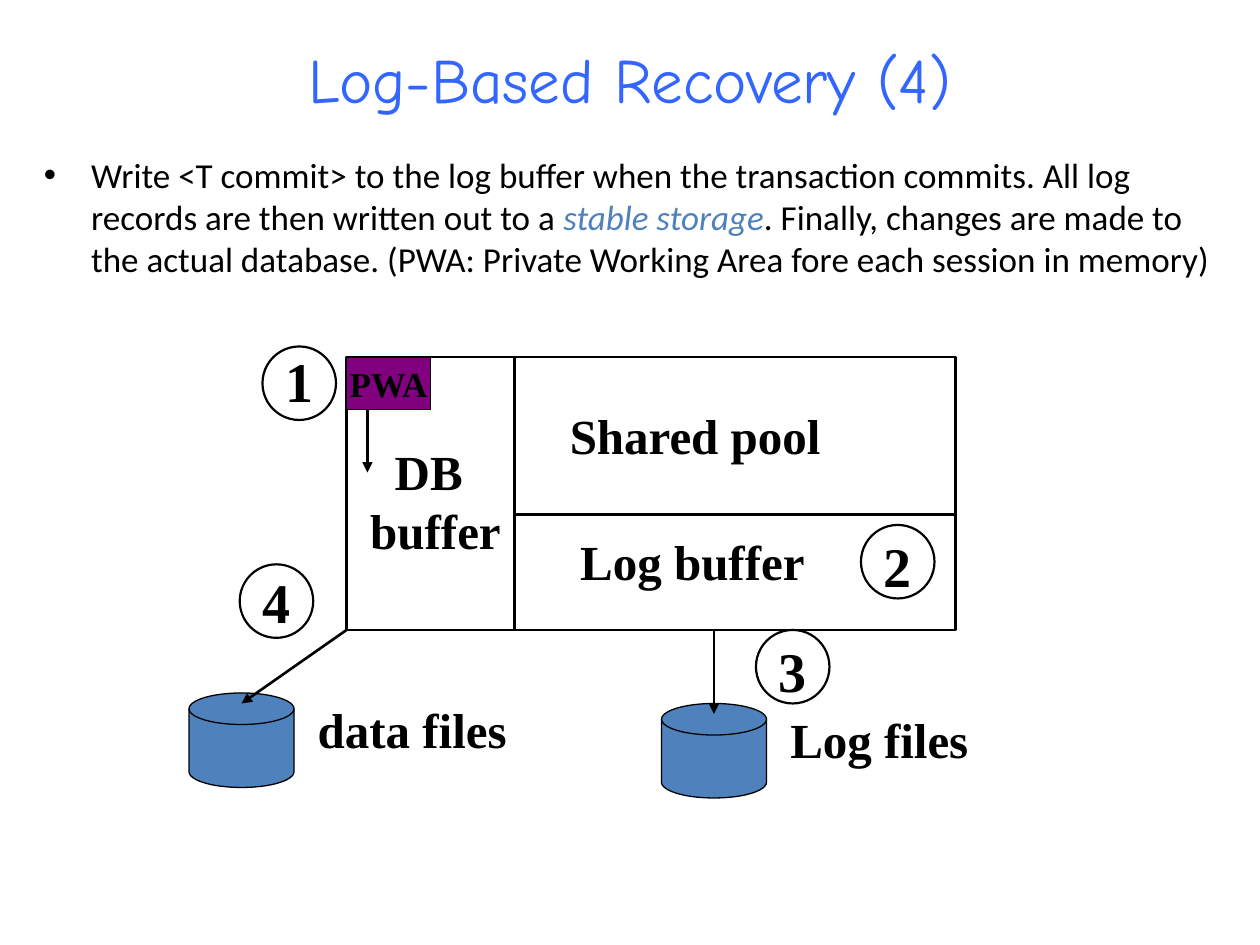
from lxml.etree import SubElement as Sub
from pptx import Presentation
from pptx.dml.color import RGBColor
from pptx.enum.shapes import MSO_CONNECTOR as Conn, MSO_SHAPE as Kind
from pptx.enum.text import MSO_ANCHOR as Anchor, MSO_AUTO_SIZE as Auto, PP_ALIGN as Align
from pptx.oxml.ns import qn
from pptx.util import Pt

BLACK, BLUE, PURPLE = "000000", "4F81BD", "800080"
TITLE = {"name": "Comic Neue", "size": Pt(36)}
BODY = {"name": "Calibri", "size": Pt(20)}
LABEL = {"name": "Times New Roman", "size": Pt(28), "bold": True}
DIGIT = {**LABEL, "size": Pt(32)}
SMALL = {**LABEL, "size": Pt(20)}


def paint(color, value):
    color.rgb = RGBColor.from_string(value)


def add_run(para, text, style, color=BLACK):
    run = para.add_run()
    run.text = text
    for key, value in style.items():
        setattr(run.font, key, value)
    paint(run.font.color, color)


def add_box(slide, x, y, w, h, wrap=True):
    frame = slide.shapes.add_textbox(Pt(x), Pt(y), Pt(w), Pt(h)).text_frame
    frame.word_wrap = wrap
    frame.auto_size = Auto.NONE if wrap else Auto.SHAPE_TO_FIT_TEXT
    return frame


def add_label(slide, x, y, w, h, lines, style=LABEL, indent=0):
    """Place unwrapped lines, the first one indented."""
    frame = add_box(slide, x, y, w, h, False)
    for i, line in enumerate(lines):
        para = frame.add_paragraph() if i else frame.paragraphs[0]
        if indent and not i:
            para._p.get_or_add_pPr().set("marL", str(Pt(indent)))
        add_run(para, line, style)


def add_form(slide, kind, x, y, w, h, fill=None, width=0.75):
    form = slide.shapes.add_shape(kind, Pt(x), Pt(y), Pt(w), Pt(h))
    form.shadow.inherit = False
    if fill:
        form.fill.solid()
        paint(form.fill.fore_color, fill)
    else:
        form.fill.background()
    form.line.width = Pt(width)
    paint(form.line.color, BLACK)
    return form


def add_line(slide, x1, y1, x2, y2, arrow=False):
    line = slide.shapes.add_connector(Conn.STRAIGHT, Pt(x1), Pt(y1), Pt(x2), Pt(y2))
    line.line.width = Pt(1.5)
    paint(line.line.color, BLACK)
    if arrow:
        Sub(line.line._get_or_add_ln(), qn("a:tailEnd"), type="triangle")
    Sub(line._element.spPr, qn("a:effectLst"))


def add_title(slide, x, y, w, h):
    frame = add_box(slide, x, y, w, h)
    frame.vertical_anchor = Anchor.MIDDLE
    para = frame.paragraphs[0]
    para.alignment = Align.CENTER
    add_run(para, "Log-Based Recovery (4)", TITLE, "3366FF")


def add_body(slide, x, y, w, h):
    para = add_box(slide, x, y, w, h).paragraphs[0]
    para.space_before = Pt(5)
    props = para._p.get_or_add_pPr()
    props.set("marL", str(Pt(27)))
    props.set("indent", str(Pt(-27)))
    Sub(props, qn("a:buFont"), typeface="Arial")
    Sub(props, qn("a:buChar"), char="•")
    add_run(para, "Write <T commit> to the log buffer when the transaction commits. "
            "All log records are then written out to a ", BODY)
    add_run(para, "stable storage", {**BODY, "italic": True}, BLUE)
    add_run(para, ". Finally, changes are made to the actual database. "
            "(PWA: Private Working Area fore each session in memory)", BODY)


def add_memory(slide, x, y, w, h):
    add_form(slide, Kind.RECTANGLE, x, y, w, h, width=1.25)
    col, row = x + 96, y + 90
    add_line(slide, col, y, col, y + h)
    add_line(slide, col, row, x + w, row)
    add_label(slide, col + 24.5, y + 24, 159, 41, ["Shared pool"])
    add_label(slide, col + 30.5, row + 6, 144, 41, ["Log buffer"])
    add_label(slide, x + 6.5, y + 45, 92, 75, ["DB", "buffer"], indent=14)

    area = add_form(slide, Kind.RECTANGLE, x, y, 48, 30, PURPLE)
    frame = area.text_frame
    frame.word_wrap = False
    frame.vertical_anchor = Anchor.MIDDLE
    para = frame.paragraphs[0]
    para.alignment = Align.CENTER
    add_run(para, "PWA", SMALL)
    add_line(slide, x + 12, y + 30, x + 12, y + 66, True)


def add_disk(slide, x, y, w, h, name, width):
    add_form(slide, Kind.FLOWCHART_MAGNETIC_DISK, x, y, w, h, BLUE)
    add_label(slide, x + w + 6.5, y, width, 41, [name])


def add_step(slide, x, y, size, digit, lift):
    """Draw a ring whose digit box starts lift points above it."""
    add_form(slide, Kind.OVAL, x, y, size, size, width=1.25)
    add_label(slide, x + 6, y - lift, 31, 46, [digit], DIGIT)


def main():
    deck = Presentation()
    deck.slide_width, deck.slide_height = Pt(720), Pt(540)
    slide = deck.slides.add_slide(deck.slide_layouts[6])
    add_title(slide, 54, 18, 612, 54)
    add_body(slide, 18, 84, 684, 432)
    add_memory(slide, 198, 204, 348, 156)
    add_disk(slide, 378, 402, 60, 54, "Log files", 118)
    add_disk(slide, 108, 396, 60, 54, "data files", 125)
    add_line(slide, 408, 360, 408, 408, True)
    add_line(slide, 198, 360, 138, 402, True)
    steps = [(150, 198, 3.5), (492, 300, 0), (432, 360, 0), (137, 322.5, 2)]
    for i, (x, y, lift) in enumerate(steps, 1):
        add_step(slide, x, y, 42, str(i), lift)
    deck.save("out.pptx")


if __name__ == "__main__":
    main()
